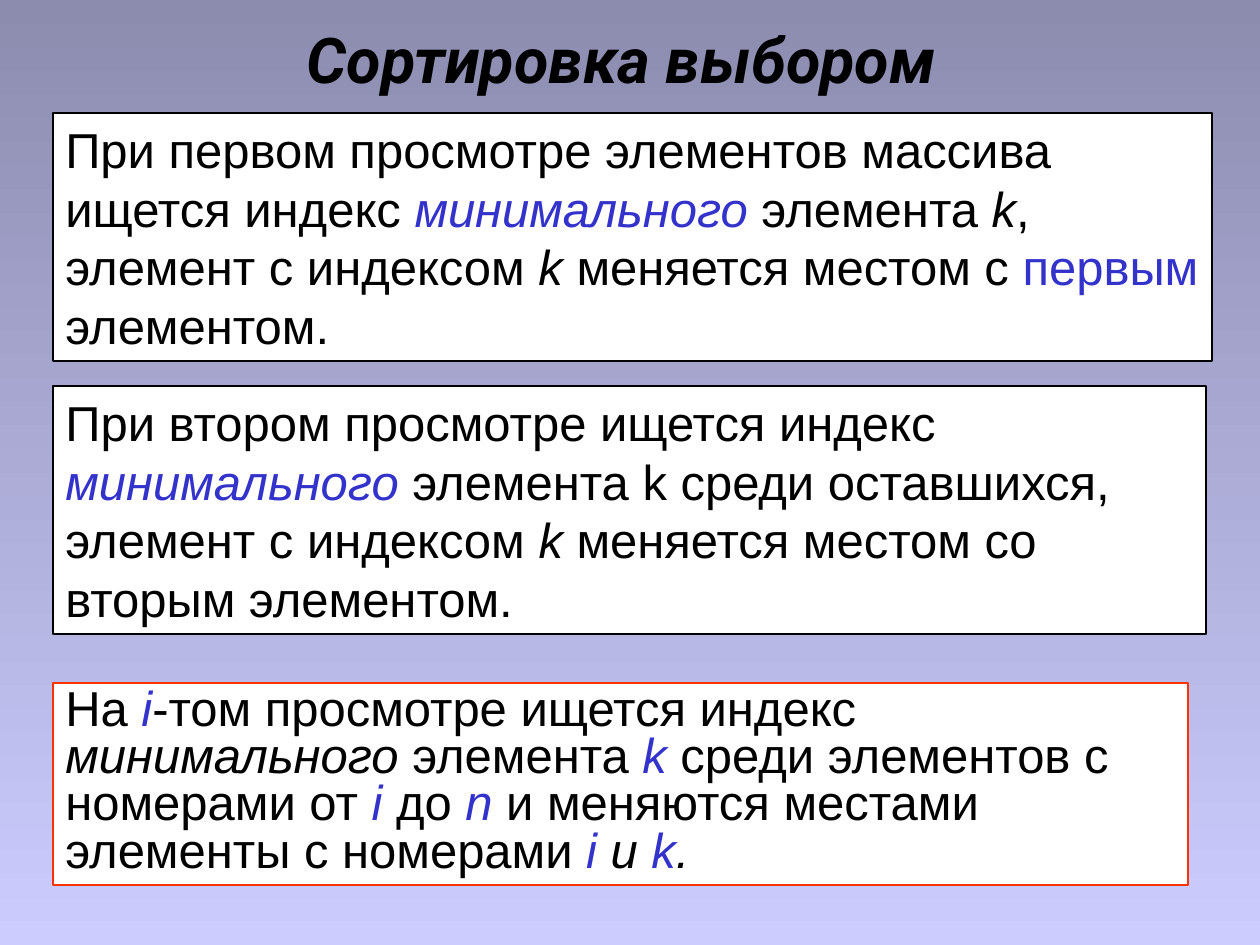
import pptx
import pptx.util
import pptx.dml.color
import pptx.enum.shapes
import pptx.enum.text

RGBColor = pptx.dml.color.RGBColor
BLACK = RGBColor(0x00, 0x00, 0x00)
WHITE = RGBColor(0xFF, 0xFF, 0xFF)
BLUE = RGBColor(0x33, 0x33, 0xCC)
RED = RGBColor(0xFF, 0x33, 0x00)
SKY_TOP = RGBColor(0x8C, 0x8C, 0xAF)
SKY_BOTTOM = RGBColor(0xCC, 0xCC, 0xFF)

PLAIN = (BLACK, False)
ITALIC = (BLACK, True)
ACCENT = (BLUE, False)
ACCENT_ITALIC = (BLUE, True)

FIRST_PASS = [
    ("При первом просмотре элементов массива ищется индекс ", PLAIN),
    ("минимального", ACCENT_ITALIC),
    (" элемента ", PLAIN),
    ("k", ITALIC),
    (", элемент с индексом ", PLAIN),
    ("k ", ITALIC),
    ("меняется местом с ", PLAIN),
    ("первым", ACCENT),
    (" элементом.", PLAIN),
]
SECOND_PASS = [
    ("При втором просмотре ищется индекс ", PLAIN),
    ("минимального", ACCENT_ITALIC),
    (" элемента k среди оставшихся, элемент с индексом ", PLAIN),
    ("k ", ITALIC),
    ("меняется местом со вторым элементом.", PLAIN),
]
GENERAL_PASS = [
    ("На ", PLAIN),
    ("i", ACCENT_ITALIC),
    ("-том просмотре ищется индекс", PLAIN),
    (" минимального ", ITALIC),
    ("элемента ", PLAIN),
    ("k ", ACCENT_ITALIC),
    ("среди элементов с номерами от ", PLAIN),
    ("i ", ACCENT_ITALIC),
    ("до ", PLAIN),
    ("n", ACCENT_ITALIC),
    (" и меняются местами элементы с номерами ", PLAIN),
    ("i ", ACCENT_ITALIC),
    ("и ", ITALIC),
    ("k", ACCENT_ITALIC),
    (".", ITALIC),
]


class SlideWriter:
    title_font = "Roboto"
    body_font = "Arial"
    body_size = pptx.util.Pt(28)
    border = pptx.util.Pt(1.5)

    def __init__(self, page):
        self.page = page

    @staticmethod
    def px(count):
        return pptx.util.Inches(count / 126)

    def background(self, top, bottom):
        fill = self.page.background.fill
        fill.gradient()
        fill.gradient_angle = 270
        for stop, color in zip(fill.gradient_stops, (top, bottom)):
            stop.color.rgb = color

    def title(self, text, left, top, width, height):
        box = self.page.shapes.title
        box.left, box.top = self.px(left), self.px(top)
        box.width, box.height = self.px(width), self.px(height)
        frame = box.text_frame
        frame.auto_size = pptx.enum.text.MSO_AUTO_SIZE.NONE
        frame.vertical_anchor = pptx.enum.text.MSO_ANCHOR.MIDDLE
        para = frame.paragraphs[0]
        para.alignment = pptx.enum.text.PP_ALIGN.CENTER
        para.line_spacing = 0.7
        para.font.name = self.title_font
        para.font.color.rgb = BLACK
        for words, size, strong in ((text, 36, True), (" ", 44, False)):
            span = para.add_run()
            span.text = words
            span.font.size = pptx.util.Pt(size)
            span.font.bold = span.font.italic = strong

    def panel(self, spans, left, top, width, height, line=BLACK, spacing=None):
        box = self.page.shapes.add_shape(
            pptx.enum.shapes.MSO_SHAPE.RECTANGLE,
            self.px(left), self.px(top), self.px(width), self.px(height))
        box.shadow.inherit = False
        box.fill.solid()
        box.fill.fore_color.rgb = WHITE
        box.line.color.rgb = line
        box.line.width = self.border
        frame = box.text_frame
        frame.word_wrap = True
        frame.auto_size = pptx.enum.text.MSO_AUTO_SIZE.SHAPE_TO_FIT_TEXT
        frame.vertical_anchor = pptx.enum.text.MSO_ANCHOR.TOP
        para = frame.paragraphs[0]
        para.alignment = pptx.enum.text.PP_ALIGN.LEFT
        para.line_spacing = spacing
        para.font.name = self.body_font
        para.font.size = self.body_size
        for words, (color, italic) in spans:
            span = para.add_run()
            span.text = words
            span.font.color.rgb = color
            span.font.italic = italic


def main():
    deck = pptx.Presentation()
    deck.slide_width = SlideWriter.px(1260)
    deck.slide_height = SlideWriter.px(945)
    writer = SlideWriter(deck.slides.add_slide(deck.slide_layouts[5]))
    writer.background(SKY_TOP, SKY_BOTTOM)
    writer.title("Сортировка выбором", 64, 0, 1134, 128)
    writer.panel(FIRST_PASS, 53, 113, 1159, 248)
    writer.panel(SECOND_PASS, 53, 386, 1153, 248)
    writer.panel(GENERAL_PASS, 53, 683, 1135, 202, line=RED, spacing=0.8)
    deck.save("out.pptx")


if __name__ == "__main__":
    main()
